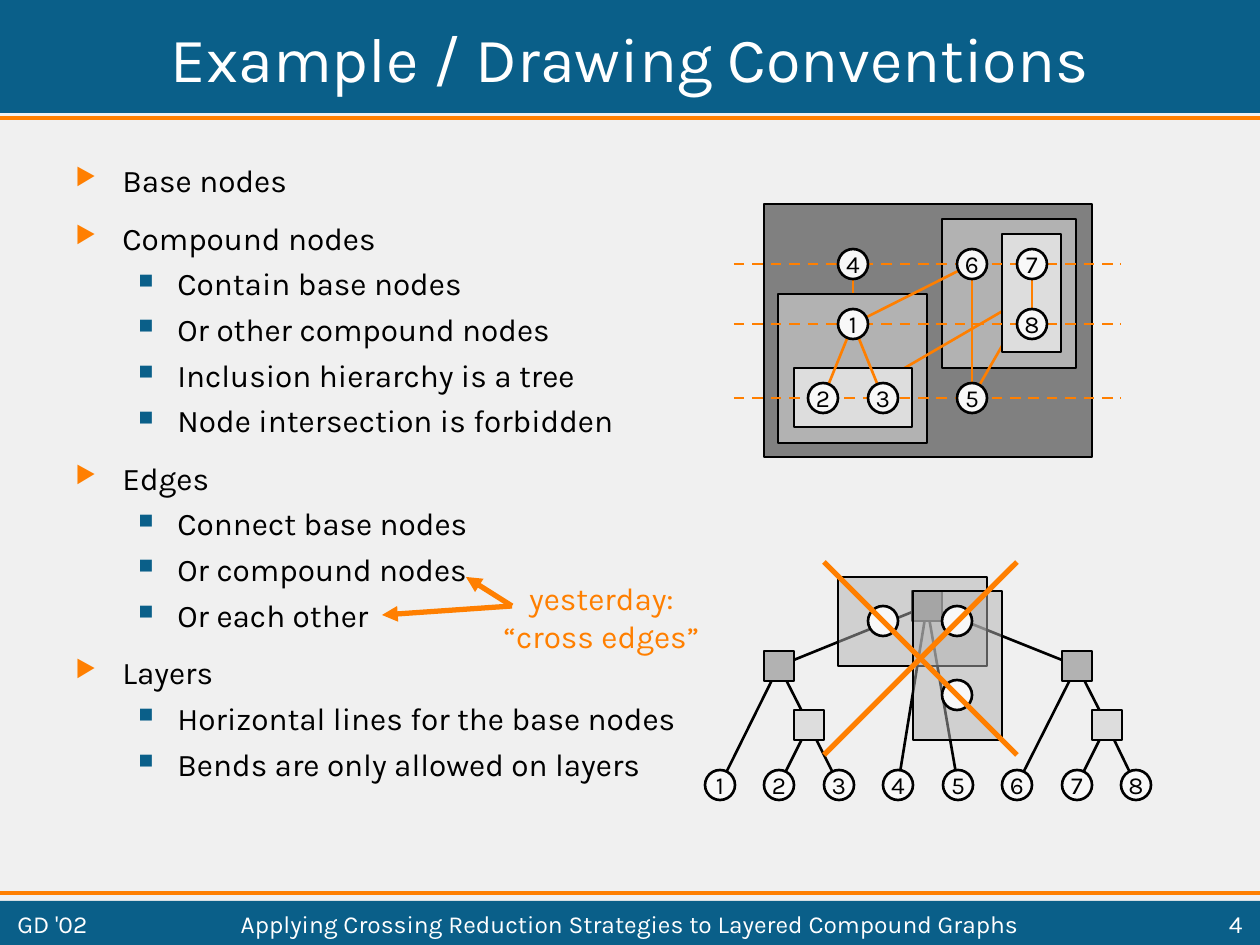
from lxml import etree
from pptx import Presentation
from pptx.dml.color import RGBColor
from pptx.enum.dml import MSO_LINE
from pptx.enum.shapes import MSO_CONNECTOR, MSO_SHAPE
from pptx.enum.text import MSO_ANCHOR, MSO_AUTO_SIZE, PP_ALIGN
from pptx.oxml.ns import qn
from pptx.util import Emu, Pt

BLUE = RGBColor(0x0A, 0x5F, 0x89)
ORANGE = RGBColor(0xFF, 0x7F, 0x00)
PAPER = RGBColor(0xF0, 0xF0, 0xF0)
NODE_FILL = RGBColor(0xF8, 0xF8, 0xF8)
DARK = RGBColor(0x80, 0x80, 0x80)
MID = RGBColor(0xB2, 0xB2, 0xB2)
LIGHT = RGBColor(0xDD, 0xDD, 0xDD)
BLACK = RGBColor(0, 0, 0)
WHITE = RGBColor(0xFF, 0xFF, 0xFF)

PX_PER_INCH = 126
WIDTH, HEIGHT = 1260, 945
NODE = 30

# level, text
OUTLINE = [
    (0, "Base nodes"),
    (0, "Compound nodes"),
    (1, "Contain base nodes"),
    (1, "Or other compound nodes"),
    (1, "Inclusion hierarchy is a tree"),
    (1, "Node intersection is forbidden"),
    (0, "Edges"),
    (1, "Connect base nodes"),
    (1, "Or compound nodes"),
    (1, "Or each other"),
    (0, "Layers"),
    (1, "Horizontal lines for the base nodes"),
    (1, "Bends are only allowed on layers"),
]
# margin, hanging indent, space before in points, bullet, its colour, its size in %
LEVELS = [
    (47, 47, 11.2, "▶", ORANGE, 75),
    (102, 39, 4.5, "■", BLUE, 65),
]


def px(length):
    return Emu(round(length * 914400 / PX_PER_INCH))


class SlideBuilder:
    def __init__(self, slide, font="Karla"):
        self.slide = slide
        self.shapes = slide.shapes
        self.font = font

    def style(self, paragraph, size, color, align):
        paragraph.font.name = self.font
        paragraph.font.size = Pt(size)
        paragraph.font.color.rgb = color
        paragraph.alignment = align

    def title(self, text, left, top, width, height):
        title = self.shapes.title
        self.shapes._spTree.append(title._element)  # in front of the header band
        title.left, title.top, title.width, title.height = map(px, (left, top, width, height))
        frame = title.text_frame
        frame.text = text
        frame.auto_size = MSO_AUTO_SIZE.NONE
        frame.vertical_anchor = MSO_ANCHOR.MIDDLE
        self.style(frame.paragraphs[0], 36, WHITE, PP_ALIGN.CENTER)

    def shape(self, kind, left, top, width, height, fill, outline=BLACK, opacity=None):
        shape = self.shapes.add_shape(kind, *map(px, (left, top, width, height)))
        shape.shadow.inherit = False
        shape.fill.solid()
        shape.fill.fore_color.rgb = fill
        if opacity:
            color = shape.fill._xPr.find(qn("a:solidFill"))[0]
            etree.SubElement(color, qn("a:alpha"), val=str(opacity * 1000))
        if outline is None:
            shape.line.fill.background()
        else:
            shape.line.color.rgb = outline
            shape.line.width = Pt(1.5)
        return shape

    def box(self, *bounds, fill, **options):
        return self.shape(MSO_SHAPE.RECTANGLE, *bounds, fill, **options)

    def square(self, center, fill):
        x, y = center
        self.box(x - NODE // 2, y - NODE // 2, NODE, NODE, fill=fill)

    def node(self, center, label=""):
        x, y = center
        circle = self.shape(MSO_SHAPE.OVAL, x - NODE // 2, y - NODE // 2, NODE, NODE, NODE_FILL)
        if label:
            frame = circle.text_frame
            frame.text = label
            frame.word_wrap = False
            frame.vertical_anchor = MSO_ANCHOR.MIDDLE
            self.style(frame.paragraphs[0], 14, BLACK, PP_ALIGN.CENTER)

    def line(self, start, end, color=ORANGE, weight=1.5, dashed=False, arrow=False):
        line = self.shapes.add_connector(MSO_CONNECTOR.STRAIGHT, *map(px, (*start, *end)))
        line.line.color.rgb = color
        line.line.width = Pt(weight)
        if dashed:
            line.line.dash_style = MSO_LINE.DASH
        if arrow:
            etree.SubElement(line.line._get_or_add_ln(), qn("a:tailEnd"), type="triangle")
        etree.SubElement(line._element.spPr, qn("a:effectLst"))

    def text(self, lines, left, top, width, height, size, color,
             align=PP_ALIGN.LEFT, anchor=MSO_ANCHOR.TOP, wrap=True):
        frame = self.shapes.add_textbox(*map(px, (left, top, width, height))).text_frame
        frame.text = "\n".join(lines)
        frame.word_wrap = wrap
        frame.vertical_anchor = anchor
        for paragraph in frame.paragraphs:
            self.style(paragraph, size, color, align)
        return frame

    def outline(self, items, *bounds):
        frame = self.text([text for _, text in items], *bounds, 18, BLACK)
        for paragraph, (level, _) in zip(frame.paragraphs, items):
            margin, hanging, before, bullet, color, percent = LEVELS[level]
            paragraph.level = level
            paragraph.space_before = Pt(before)
            props = paragraph._p.get_or_add_pPr()
            props.set("marL", str(px(margin)))
            props.set("indent", str(-px(hanging)))
            marks = [etree.Element(qn("a:buClr")),
                     etree.Element(qn("a:buSzPct"), val=str(percent * 1000)),
                     etree.Element(qn("a:buChar"), char=bullet)]
            etree.SubElement(marks[0], qn("a:srgbClr"), val=str(color))
            defaults = props.find(qn("a:defRPr"))
            for mark in marks:
                defaults.addprevious(mark)


def draw_frame(page):
    page.box(0, 0, WIDTH, 113, fill=BLUE, outline=None)
    page.box(0, 901, WIDTH, 44, fill=BLUE, outline=None)
    for y in (118, 893):
        page.line((0, y), (WIDTH, y), weight=2.25)
    page.title("Example / Drawing Conventions", 5, 5, 1250, 105)
    for text, left, width, align in [
        ("GD '02", 5, 149, PP_ALIGN.LEFT),
        ("Applying Crossing Reduction Strategies to Layered Compound Graphs",
         164, 932, PP_ALIGN.CENTER),
        ("4", 1106, 149, PP_ALIGN.RIGHT),
    ]:
        page.text([text], left, 906, width, 35, 14, WHITE, align, MSO_ANCHOR.MIDDLE)


def draw_layered_graph(page):
    layers = top, middle, bottom = 264, 324, 398
    nodes = {1: (853, middle), 2: (823, bottom), 3: (883, bottom), 4: (853, top),
             5: (972, bottom), 6: (972, top), 7: (1032, top), 8: (1032, middle)}
    left_compound, left_inner, right_inner = (853, 354), (853, bottom), (1032, 294)

    page.box(764, 204, 328, 253, fill=DARK)
    page.box(942, 219, 134, 149, fill=MID)
    page.line(nodes[6], nodes[5])
    page.line(nodes[4], left_compound)
    page.line(nodes[5], right_inner)
    page.box(778, 294, 149, 149, fill=MID)
    page.line(left_inner, right_inner)
    page.box(794, 368, 118, 59, fill=LIGHT)
    for target in (3, 2, 6):
        page.line(nodes[1], nodes[target])
    page.box(1002, 234, 59, 118, fill=LIGHT)
    for y in layers:
        page.line((734, y), (1121, y), dashed=True)
    page.line(nodes[7], nodes[8])
    for label, center in nodes.items():
        page.node(center, str(label))


def draw_inclusion_tree(page):
    leaves = {n: (720 + 119 * (n - 1) // 2, 785) for n in range(1, 9)}
    root, left, right = (927, 606), (779, 666), (1077, 666)
    left_inner, right_inner = (809, 725), (1107, 725)
    children = {
        root: [left, leaves[4], leaves[5], right],
        left: [leaves[1], left_inner],
        right: [leaves[6], right_inner],
        left_inner: [leaves[2], leaves[3]],
        right_inner: [leaves[7], leaves[8]],
    }
    fills = {root: DARK, left: MID, right: MID, left_inner: LIGHT, right_inner: LIGHT}
    for parent, ends in children.items():
        for end in ends:
            page.line(parent, end, BLACK)
    for center, fill in fills.items():
        page.square(center, fill)
    for label, center in leaves.items():
        page.node(center, str(label))


def draw_forbidden_intersection(page):
    page.box(838, 577, 149, 89, fill=MID, opacity=50)
    page.node((883, 621))
    page.box(913, 591, 89, 149, fill=MID, opacity=50)
    for y in (695, 621):
        page.node((957, y))
    page.line((824, 562), (1017, 755), weight=3)
    page.line((1017, 562), (824, 755), weight=3)


def main():
    deck = Presentation()
    deck.slide_width, deck.slide_height = px(WIDTH), px(HEIGHT)
    slide = deck.slides.add_slide(deck.slide_layouts[5])
    slide.background.fill.solid()
    slide.background.fill.fore_color.rgb = PAPER
    page = SlideBuilder(slide)

    draw_frame(page)
    page.outline(OUTLINE, 63, 155, 626, 714)
    draw_layered_graph(page)
    draw_inclusion_tree(page)
    page.text(["yesterday:", "“cross edges”"], 490, 573, 223, 88, 18, ORANGE,
              PP_ALIGN.CENTER, wrap=False)
    for target in [(466, 577), (382, 615)]:
        page.line((512, 606), target, weight=3, arrow=True)
    draw_forbidden_intersection(page)
    deck.save("out.pptx")


if __name__ == "__main__":
    main()
